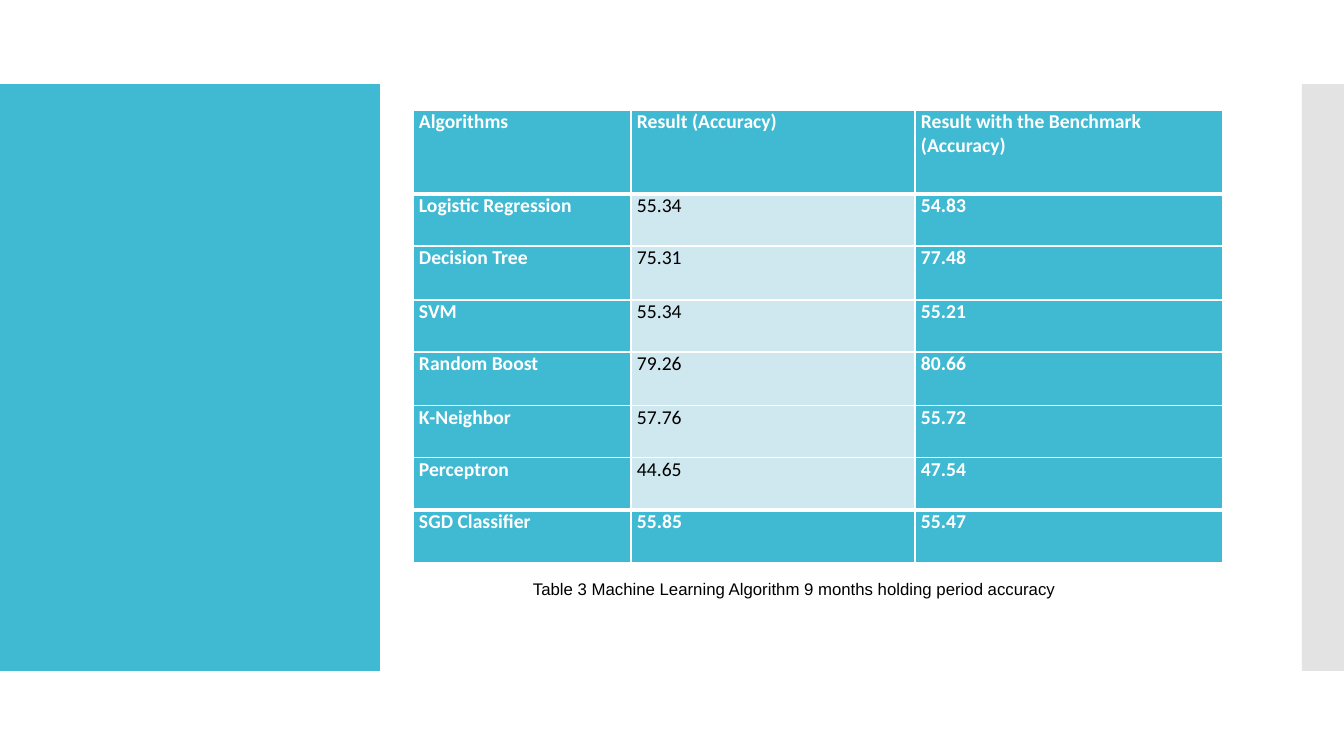
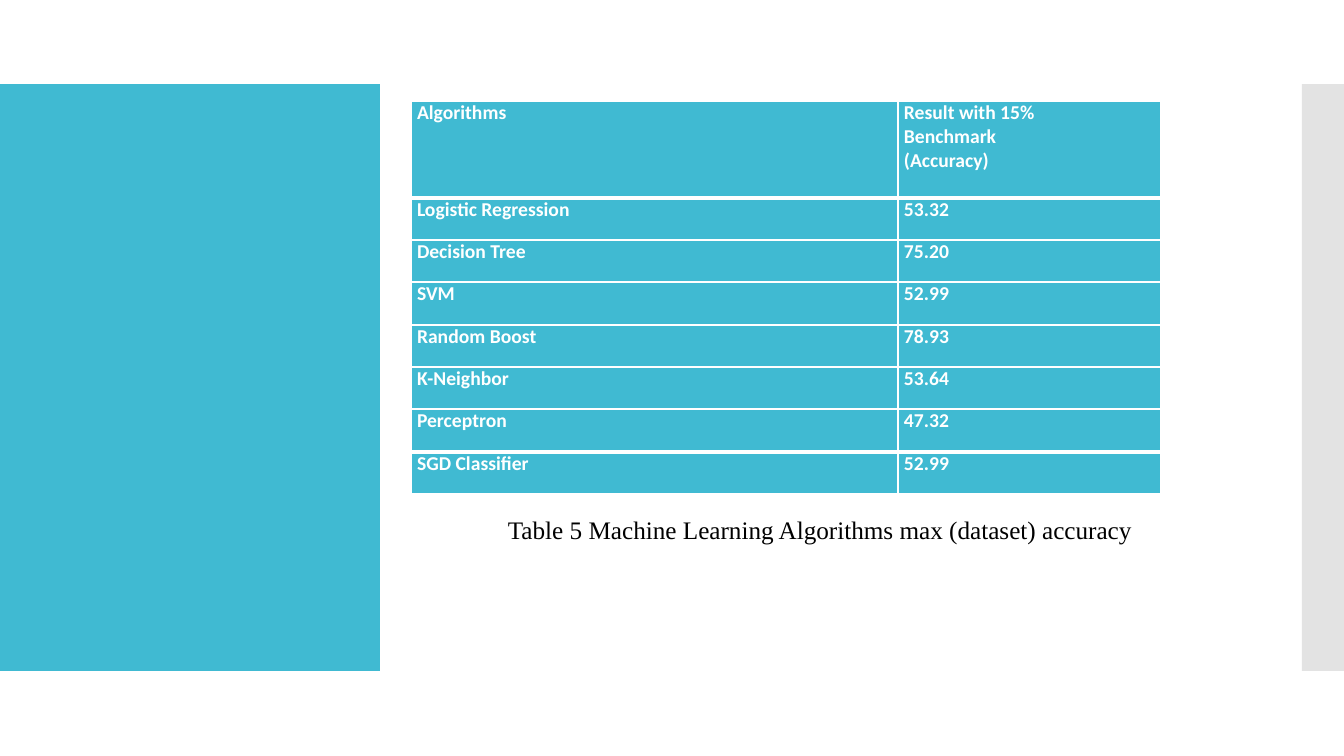
from lxml.etree import SubElement
from pptx import Presentation
from pptx.dml.color import RGBColor
from pptx.enum.shapes import MSO_SHAPE
from pptx.enum.text import MSO_ANCHOR
from pptx.oxml.ns import qn
from pptx.util import Emu, Inches, Pt

PX_PER_INCH = 100.8
TEAL, PALE_TEAL, GREY = "40BAD2", "CFE7EE", "C8C8C8"
WHITE, BLACK = "FFFFFF", "000000"
color = RGBColor.from_string


def px(length):
    return Emu(round(length * Inches(1) / PX_PER_INCH))


def add_border(cell, side, points):
    """Draw a white line on one side (L, R, T or B) of a table cell."""
    line = SubElement(cell._tc.get_or_add_tcPr(), qn(f"a:ln{side}"), w=str(Pt(points)))
    fill = SubElement(line, qn("a:solidFill"))
    SubElement(fill, qn("a:srgbClr"), val=WHITE)


ALGORITHMS = ["Logistic Regression", "Decision Tree", "SVM", "Random Boost",
              "K-Neighbor", "Perceptron", "SGD Classifier"]

RESULTS = [
    {
        "origin": (413, 110),
        "column_widths": [218, 284, 308],
        "row_heights": [84, 52, 54, 52, 54, 52, 52, 53],
        "headings": ["Algorithms", "Result (Accuracy)",
                     "Result with the Benchmark (Accuracy)"],
        "values": [["55.34", "75.31", "55.34", "79.26", "57.76", "44.65", "55.85"],
                   ["54.83", "77.48", "55.21", "80.66", "55.72", "47.54", "55.47"]],
        "plain_column": 1,
        "heading_margin": 0,
        "caption": "Table 3 Machine Learning Algorithm 9 months holding period accuracy",
        "caption_box": (523, 564, 640, 50),
        "caption_font": ("Arial", 12),
        "caption_anchor": MSO_ANCHOR.MIDDLE,
    },
    {
        "origin": (411, 101),
        "column_widths": [487, 263],
        "row_heights": [97, 42, 42, 43, 42, 42, 43, 42],
        "headings": ["Algorithms", "Result with 15% Benchmark (Accuracy)"],
        "values": [["53.32", "75.20", "52.99", "78.93", "53.64", "47.32", "52.99"]],
        "plain_column": None,
        "heading_margin": 95,
        "caption": "Table 5 Machine Learning Algorithms max (dataset) accuracy",
        "caption_box": (498, 509, 793, 40),
        "caption_font": ("Times New Roman", 18),
        "caption_anchor": MSO_ANCHOR.TOP,
    },
]

presentation = Presentation()
presentation.slide_width, presentation.slide_height = px(1344), px(756)
blank_layout = presentation.slide_layouts[6]
slides = [presentation.slides.add_slide(blank_layout) for _ in RESULTS]

# Side bands: drawn once, then moved to the master behind its placeholders
for left, width, fill_color, opacity in [(0, 380, TEAL, 100), (1302, 42, GREY, 50)]:
    band = slides[0].shapes.add_shape(MSO_SHAPE.RECTANGLE, px(left), px(84), px(width), px(587))
    band.shadow.inherit = False
    band.line.fill.background()
    band.fill.solid()
    band.fill.fore_color.rgb = color(fill_color)
    band_color = band.element.spPr.find(f".//{qn('a:srgbClr')}")
    SubElement(band_color, qn("a:alpha"), val=str(opacity * 1000))
    presentation.slide_master.shapes.element.insert(2, band.element)

for slide, result in zip(slides, RESULTS):
    left, top = result["origin"]
    widths, heights = result["column_widths"], result["row_heights"]
    rows = [result["headings"], *zip(ALGORITHMS, *result["values"])]
    last_row = len(rows) - 1

    table = slide.shapes.add_table(len(rows), len(widths), px(left), px(top),
                                   px(sum(widths)), px(sum(heights))).table
    for column, width in zip(table.columns, widths):
        column.width = px(width)
    for row, height in zip(table.rows, heights):
        row.height = px(height)

    for row_index, texts in enumerate(rows):
        for column_index, text in enumerate(texts):
            cell = table.cell(row_index, column_index)
            plain = column_index == result["plain_column"] and 0 < row_index < last_row
            cell.margin_top = cell.margin_bottom = cell.margin_right = 0
            cell.margin_left = px(6)
            if row_index == 0 and column_index > 0:
                cell.margin_right = px(result["heading_margin"])

            add_border(cell, "L", 1)
            add_border(cell, "R", 1)
            add_border(cell, "T", 3 if row_index in (1, last_row) else 1)
            add_border(cell, "B", 3 if row_index in (0, last_row - 1) else 1)
            cell.fill.solid()
            cell.fill.fore_color.rgb = color(PALE_TEAL if plain else TEAL)

            paragraph = cell.text_frame.paragraphs[0]
            paragraph.space_before = Pt(5)
            run = paragraph.add_run()
            run.text = text
            run.font.name, run.font.size = "Calibri", Pt(14)
            run.font.bold = not plain
            run.font.color.rgb = color(BLACK if plain else WHITE)

    caption = slide.shapes.add_textbox(*map(px, result["caption_box"])).text_frame
    caption.word_wrap = True
    caption.vertical_anchor = result["caption_anchor"]
    run = caption.paragraphs[0].add_run()
    run.text = result["caption"]
    font_name, font_size = result["caption_font"]
    run.font.name, run.font.size = font_name, Pt(font_size)
    run.font.color.rgb = color(BLACK)

presentation.save("out.pptx")
